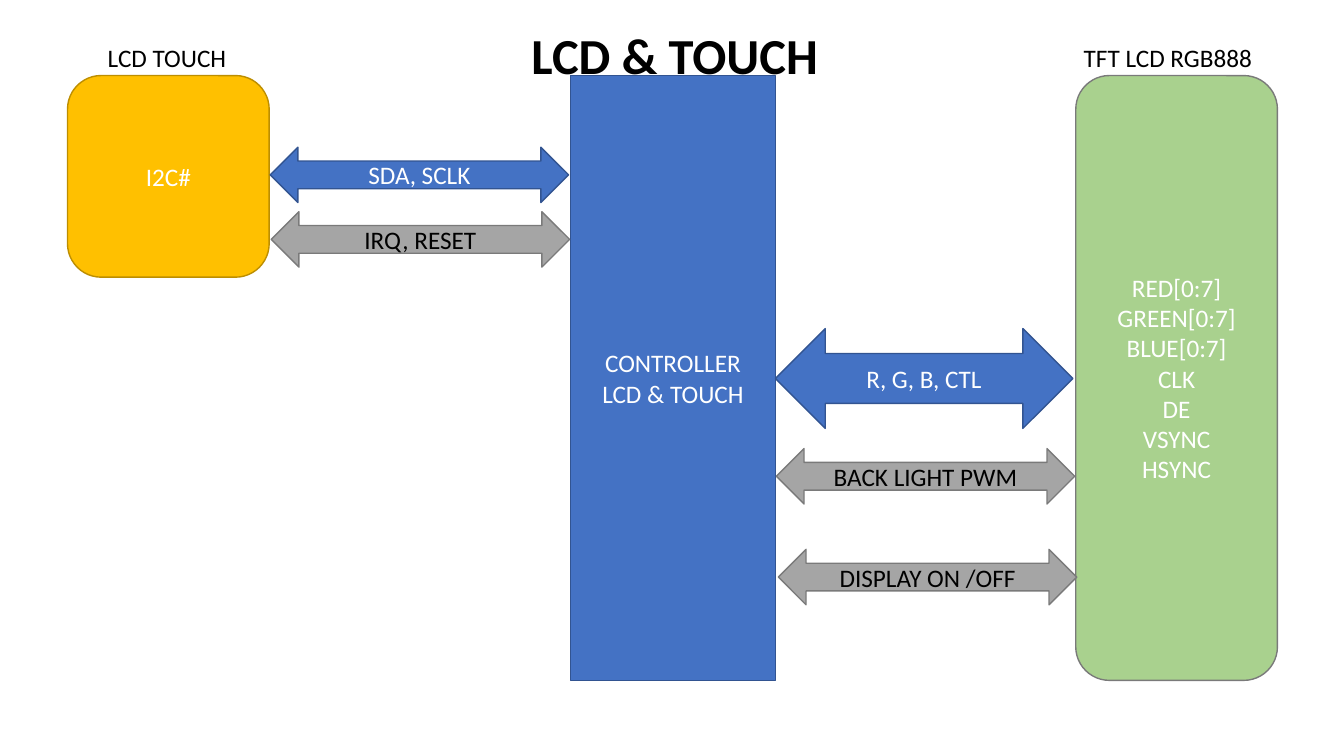
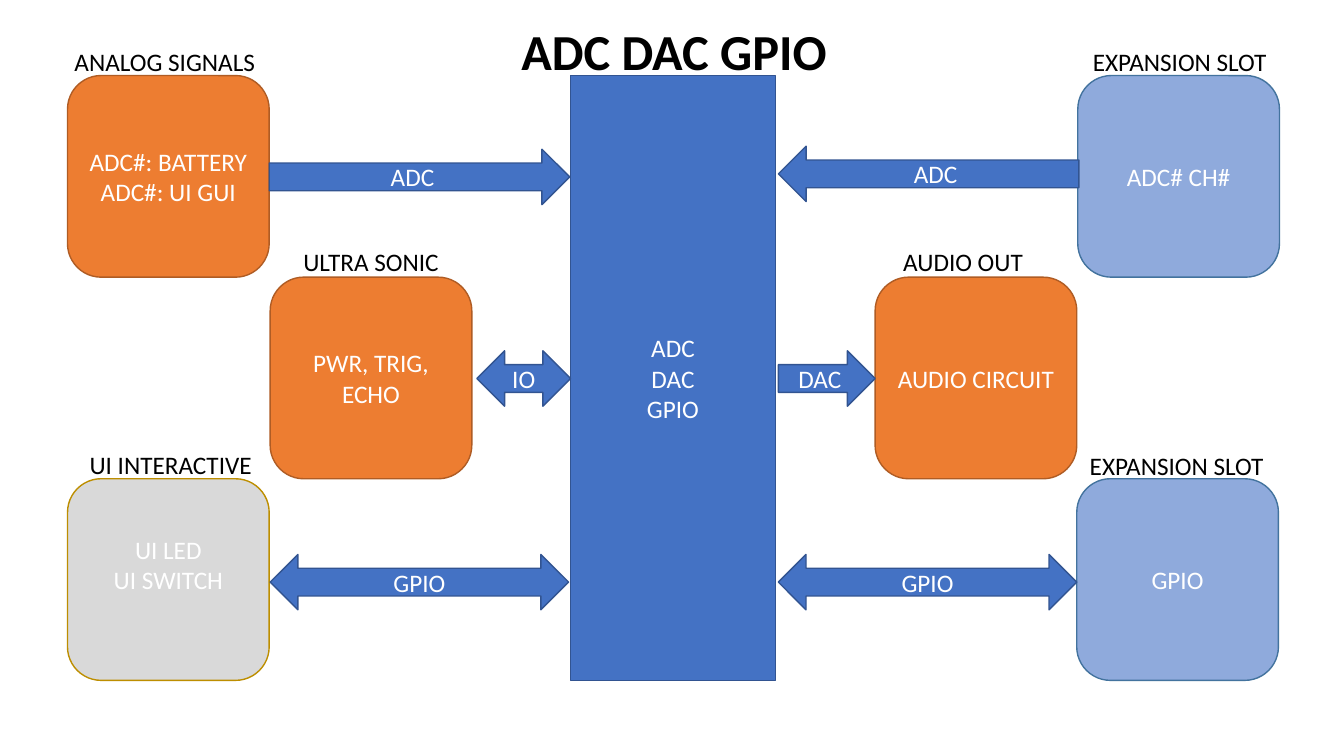
from pptx import Presentation
from pptx.dml.color import RGBColor
from pptx.enum.shapes import MSO_SHAPE as Shape
from pptx.enum.text import MSO_ANCHOR as Anchor, MSO_AUTO_SIZE as AutoSize, PP_ALIGN as Align
from pptx.util import Inches, Pt

FONT = "Calibri"
COLORS = {"black": "000000", "white": "FFFFFF"}
# Style: fill, outline, text
STYLES = {
    "blue": ("4472C4", "325491", COLORS["white"]),
    "gray": ("A5A5A5", "7A7A7A", COLORS["black"]),
    "green": ("A9D18E", "7A7A7A", COLORS["white"]),
    "gold": ("FFC000", "BD8E00", COLORS["white"]),
    "orange": ("ED7D31", "AF5C24", COLORS["white"]),
    "silver": ("D9D9D9", "BD8E00", COLORS["white"]),
    "sky": ("8FAADC", "43739E", COLORS["white"]),
}
ARROWS = {"both": Shape.LEFT_RIGHT_ARROW, "right": Shape.RIGHT_ARROW, "left": Shape.LEFT_ARROW}

# Shared geometry in inches
TOP, SIDE, HUB_HEIGHT = 0.75, 2, 6
HUB_LEFT, HUB_WIDTH = 5.66, 2.03
ARROW_HEIGHT, LABEL_HEIGHT, TITLE_HEIGHT = 0.55, 0.4, 0.71
ROWS = [TOP + SIDE * row for row in range(3)]

# title: text, left, top, width
# blocks: lines, style, left, top, height, extra bottom inset
# labels: text, left, top, width
# arrows: text, direction, style, left, top, width, height
SLIDES = [
    {
        "title": ("LCD & TOUCH", 5.17, 0.19, 3.75),
        "hub": ["CONTROLLER", "LCD & TOUCH"],
        "blocks": [
            (["RED[0:7]", "GREEN[0:7]", "BLUE[0:7]", "CLK", "DE", "VSYNC", "HSYNC"],
             "green", 10.67, ROWS[0], HUB_HEIGHT, 0),
            (["I2C#"], "gold", 0.67, ROWS[0], SIDE, 0),
        ],
        "labels": [
            ("TFT LCD RGB888", 10.65, 0.37, 1.89),
            ("LCD TOUCH", 0.97, 0.37, 1.39),
        ],
        "arrows": [
            ("R, G, B, CTL", "both", "blue", 7.69, 3.26, 2.95, 0.99),
            ("BACK LIGHT PWM", "both", "gray", 7.7, 4.45, 2.96, ARROW_HEIGHT),
            ("DISPLAY ON /OFF", "both", "gray", 7.72, 5.45, 2.96, ARROW_HEIGHT),
            ("SDA, SCLK", "both", "blue", 2.68, 1.46, 2.96, ARROW_HEIGHT),
            ("IRQ, RESET", "both", "gray", 2.69, 2.1, 2.96, ARROW_HEIGHT),
        ],
    },
    {
        "title": ("ADC DAC GPIO", 5.07, 0.15, 3.26),
        "hub": ["ADC", "DAC", "GPIO"],
        "blocks": [
            (["ADC#: BATTERY", "ADC#: UI GUI"], "orange", 0.67, ROWS[0], SIDE, 0),
            (["PWR, TRIG, ECHO"], "orange", 2.68, ROWS[1], SIDE, 0),
            (["UI LED", "UI SWITCH"], "silver", 0.67, ROWS[2], SIDE, 0.3),
            (["ADC# CH#"], "sky", 10.69, ROWS[0], SIDE, 0),
            (["AUDIO CIRCUIT"], "orange", 8.68, ROWS[1], SIDE, 0),
            (["GPIO"], "sky", 10.68, ROWS[2], SIDE, 0),
        ],
        "labels": [
            ("ANALOG SIGNALS", 0.64, 0.41, 2.01),
            ("ULTRA SONIC", 2.91, 2.39, 1.56),
            ("UI INTERACTIVE", 0.79, 4.41, 1.82),
            ("EXPANSION SLOT", 10.74, 0.41, 1.94),
            ("AUDIO OUT", 8.86, 2.39, 1.4),
            ("EXPANSION SLOT", 10.71, 4.42, 1.94),
        ],
        "arrows": [
            ("ADC", "right", "blue", 2.67, 1.48, 2.98, ARROW_HEIGHT),
            ("IO", "both", "blue", 4.73, 3.48, 0.93, ARROW_HEIGHT),
            ("GPIO", "both", "blue", 2.68, 5.5, 2.96, ARROW_HEIGHT),
            ("ADC", "left", "blue", 7.72, 1.45, 2.98, ARROW_HEIGHT),
            ("DAC", "right", "blue", 7.72, 3.48, 0.96, ARROW_HEIGHT),
            ("GPIO", "both", "blue", 7.72, 5.5, 2.96, ARROW_HEIGHT),
        ],
    },
]


def inches(*lengths):
    return [Inches(length) for length in lengths]


def write(frame, lines, color, size=18, bold=False, align=Align.LEFT):
    """Put one paragraph per line into a text frame."""
    frame.text = "\n".join(lines)
    for para in frame.paragraphs:
        para.alignment = align
        para.font.name = FONT
        para.font.size = Pt(size)
        para.font.bold = bold
        para.font.color.rgb = RGBColor.from_string(color)


def add_part(page, kind, lines, style, left, top, width, height, extra_bottom=0):
    """Add a filled, outlined shape with centred text."""
    fill, outline, text_color = STYLES[style]
    part = page.shapes.add_shape(kind, *inches(left, top, width, height))
    part.shadow.inherit = False
    part.fill.solid()
    part.fill.fore_color.rgb = RGBColor.from_string(fill)
    part.line.color.rgb = RGBColor.from_string(outline)
    part.line.width = Pt(1)
    frame = part.text_frame
    frame.word_wrap = True
    frame.vertical_anchor = Anchor.MIDDLE
    frame.margin_bottom = Inches(0.05 + extra_bottom)
    write(frame, lines, text_color, align=Align.CENTER)


def add_label(page, text, left, top, width):
    box = page.shapes.add_textbox(*inches(left, top, width, LABEL_HEIGHT))
    box.text_frame.word_wrap = False
    write(box.text_frame, [text], COLORS["black"])


def set_title(page, text, left, top, width):
    title = page.shapes.title
    title.left, title.top, title.width, title.height = inches(left, top, width, TITLE_HEIGHT)
    frame = title.text_frame
    frame.auto_size = AutoSize.NONE
    frame.word_wrap = True
    frame.vertical_anchor = Anchor.TOP
    write(frame, [text], COLORS["black"], size=36, bold=True)


deck = Presentation()
deck.slide_width, deck.slide_height = inches(13.33, 7.5)
title_only = deck.slide_layouts[5]

for content in SLIDES:
    page = deck.slides.add_slide(title_only)
    set_title(page, *content["title"])

    # Central controller and the blocks around it
    add_part(page, Shape.RECTANGLE, content["hub"], "blue", HUB_LEFT, TOP, HUB_WIDTH, HUB_HEIGHT)
    for lines, style, left, top, height, extra_bottom in content["blocks"]:
        add_part(page, Shape.ROUNDED_RECTANGLE, lines, style, left, top, SIDE, height, extra_bottom)

    # Signals between them, then the block names
    for text, direction, style, *place in content["arrows"]:
        add_part(page, ARROWS[direction], [text], style, *place)
    for label in content["labels"]:
        add_label(page, *label)

deck.save("out.pptx")
